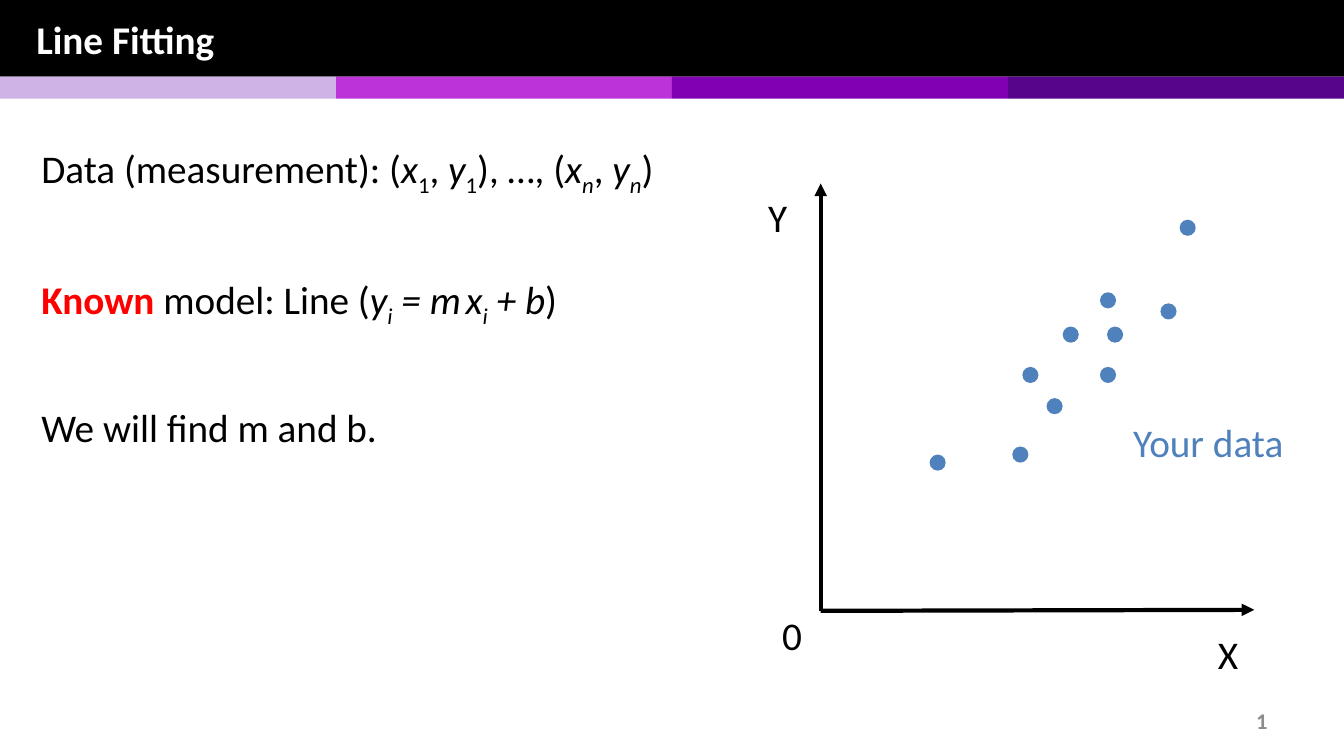
import pptx
import pptx.util
import pptx.dml.color
import pptx.enum.shapes
import pptx.enum.text
from lxml import etree

Inches, Pt = pptx.util.Inches, pptx.util.Pt
SHAPE = pptx.enum.shapes.MSO_SHAPE
ALIGN = pptx.enum.text.PP_ALIGN
ANCHOR = pptx.enum.text.MSO_ANCHOR
COLORS = {
    "black": "000000", "white": "FFFFFF", "red": "FF0000",
    "blue": "4F81BD", "grey": "8C8C8C",
    "lilac": "CFB3E6", "orchid": "BD33DA", "violet": "8000B3", "indigo": "57058A",
}
STRIPES = ["lilac", "orchid", "violet", "indigo"]
LINES = [
    [("Data (measurement): (", ""), ("x", "i"), ("1", "s"), (", ", ""), ("y", "i"),
     ("1", "s"), ("), …, (", ""), ("x", "i"), ("n", "is"), (", ", ""), ("y", "i"),
     ("n", "is"), (")", "")],
    [("Known", "k"), (" model: Line (", ""), ("y", "i"), ("i", "is"), (" = m", "i"),
     (" ", "it"), ("x", "i"), ("i", "is"), (" + b", "i"), (")", "")],
    [("We will find m and b.", "")],
]
POINTS = [(1.08, 2.69), (1.9, 2.61), (2.0, 1.82), (2.77, 1.82), (2.77, 1.08),
          (3.37, 1.19), (2.4, 1.42), (3.56, 0.36), (2.24, 2.13), (2.84, 1.42)]
LABELS = [("X", 3.84, 4.15, 0.5, "black"), ("Y", -0.62, -0.18, 0.5, "black"),
          ("Your data", 3.0, 2.05, 1.81, "blue"), ("0", -0.48, 3.96, 0.5, "black")]


def rgb(name):
    return pptx.dml.color.RGBColor.from_string(COLORS[name])


def place(sp, x, y, w, h):
    sp.left, sp.top, sp.width, sp.height = map(Inches, (x, y, w, h))


def style(p, color, size=28, bold=False, align=ALIGN.LEFT):
    p.alignment = align
    p.font.name, p.font.size, p.font.bold = "Calibri", Pt(size), bold
    p.font.color.rgb = rgb(color)


def add_solid(s, kind, x, y, w, h, color):
    sp = s.shapes.add_shape(kind, *map(Inches, (x, y, w, h)))
    sp.shadow.inherit = False
    sp.fill.solid()
    sp.fill.fore_color.rgb = rgb(color)
    sp.line.fill.background()
    return sp


def add_label(s, text, x, y, w, h, color, **kw):
    tf = s.shapes.add_textbox(*map(Inches, (x, y, w, h))).text_frame
    tf.word_wrap = True
    p = tf.paragraphs[0]
    p.text = text
    style(p, color, **kw)
    return tf


def add_header(s, x, y, w):
    stripe = w / len(STRIPES)
    bars = [add_solid(s, SHAPE.RECTANGLE, x, y, w, 0.76, "black")]
    bars += [add_solid(s, SHAPE.RECTANGLE, x + i * stripe, y + 0.76, stripe, 0.22, c)
             for i, c in enumerate(STRIPES)]
    title = s.shapes.title
    for bar in bars:
        title.element.addprevious(bar.element)
    place(title, x + 0.26, y + 0.01, w - 0.51, 0.75)
    tf = title.text_frame
    tf.text = "Line Fitting"
    tf.auto_size = pptx.enum.text.MSO_AUTO_SIZE.NONE
    tf.vertical_anchor = ANCHOR.MIDDLE
    style(tf.paragraphs[0], "white", bold=True)


def add_statements(s, x, y, w, h):
    body = s.placeholders[1]
    place(body, x, y, w, h)
    tf = body.text_frame
    tf.auto_size = pptx.enum.text.MSO_AUTO_SIZE.NONE
    for i, line in enumerate(LINES):
        p = tf.add_paragraph() if i else tf.paragraphs[0]
        style(p, "black")
        p.line_spacing = 1.5
        p.space_before = Pt(36 if i else 0)
        pPr = p._p.get_or_add_pPr()
        pPr.set("marL", "0")
        pPr.set("indent", "0")
        bullet = pptx.oxml.parse_xml(
            '<a:buNone xmlns:a="http://schemas.openxmlformats.org/drawingml/2006/main"/>')
        pPr.find(pptx.oxml.ns.qn("a:defRPr")).addprevious(bullet)
        for text, marks in line:
            r = p.add_run()
            r.text = text
            if "i" in marks:
                r.font.italic = True
            if "s" in marks:
                r.font._element.set("baseline", "-25000")
            if "t" in marks:
                r.font.size = Pt(16)
            if "k" in marks:
                r.font.bold = True
                r.font.color.rgb = rgb("red")


def add_axis(s, x1, y1, x2, y2):
    axis = s.shapes.add_connector(pptx.enum.shapes.MSO_CONNECTOR.STRAIGHT,
                                  *map(Inches, (x1, y1, x2, y2)))
    axis.line.color.rgb = rgb("black")
    axis.line.width = Pt(3)
    qn = pptx.oxml.ns.qn
    etree.SubElement(axis.line._get_or_add_ln(), qn("a:tailEnd"), type="triangle")
    etree.SubElement(axis._element.spPr, qn("a:effectLst"))


def add_plot(s, x, y, w, h):
    add_axis(s, x, y + h, x, y)
    add_axis(s, x, y + h, x + w, y + h - 0.01)
    for dx, dy in POINTS:
        add_solid(s, SHAPE.OVAL, x + dx, y + dy, 0.16, 0.16, "blue")
    for text, dx, dy, width, color in LABELS:
        tf = add_label(s, text, x + dx, y + dy, width, 0.73, color)
        tf.paragraphs[0].line_spacing = 1.5


def add_page_number(s, x, y, w, h):
    tf = add_label(s, "1", x, y, w, h, "grey", size=16, bold=True, align=ALIGN.RIGHT)
    tf.vertical_anchor = ANCHOR.MIDDLE


prs = pptx.Presentation()
prs.slide_width, prs.slide_height = Inches(13.33), Inches(7.5)
s = prs.slides.add_slide(prs.slide_layouts[1])
add_header(s, 0, 0, 13.33)
add_statements(s, 0.31, 1.12, 7, 3.3)
add_plot(s, 8.14, 1.82, 4.3, 4.24)
add_page_number(s, 9.56, 6.95, 3.11, 0.4)
prs.save("out.pptx")
